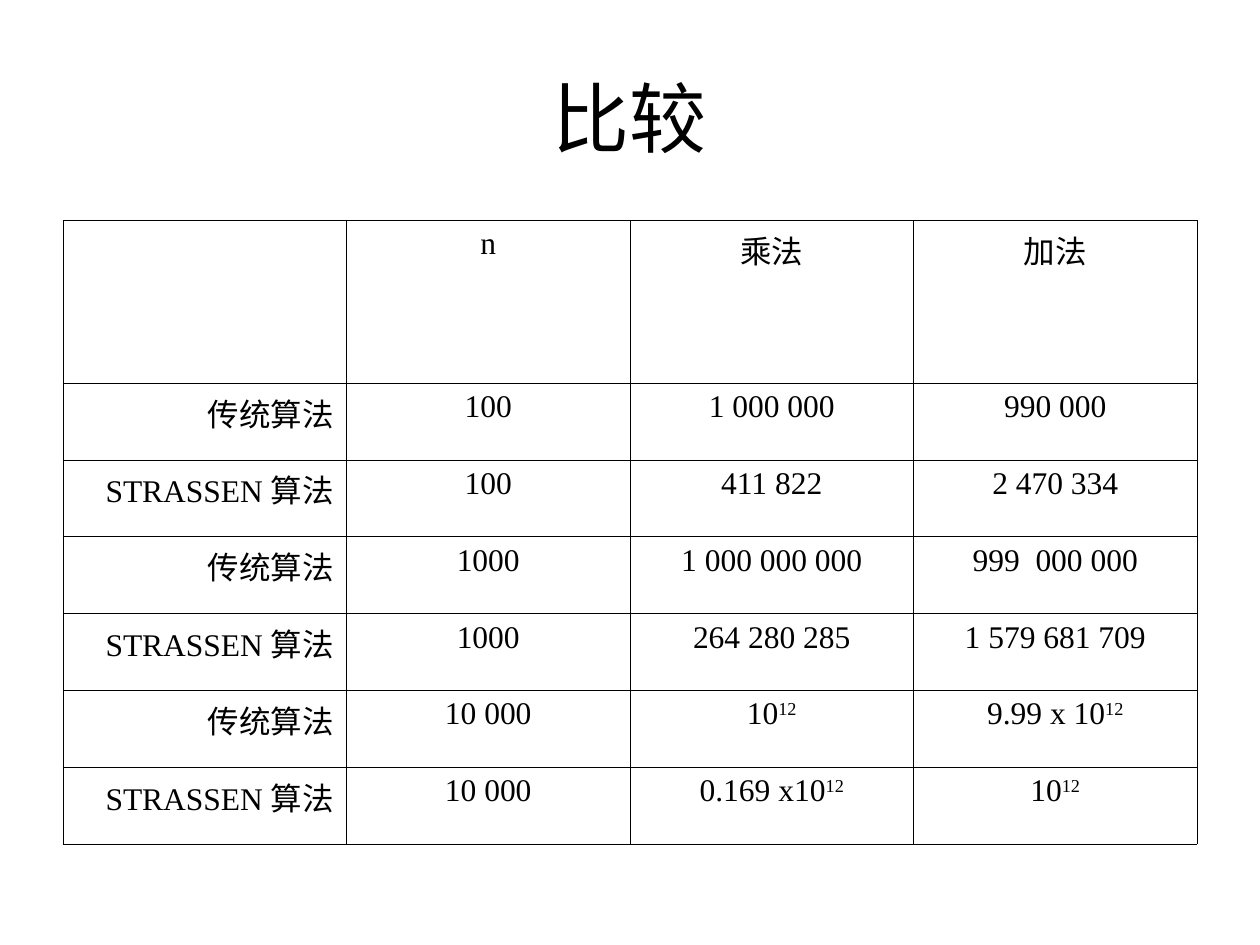
from lxml.etree import SubElement
from pptx import Presentation
from pptx.dml.color import RGBColor
from pptx.enum.text import MSO_ANCHOR as Anchor, PP_ALIGN as Align
from pptx.oxml.ns import qn
from pptx.util import Pt

BLACK = RGBColor(0x00, 0x00, 0x00)
TITLE_FONT = "Arial"
TABLE_FONT = "Times New Roman"

CLASSIC = "传统算法"
STRASSEN = "STRASSEN 算法"

# A caret marks the start of a superscript
COMPARISON = [
    ["", "n", "乘法", "加法"],
    [CLASSIC, "100", "1 000 000", "990 000"],
    [STRASSEN, "100", "411 822", "2 470 334"],
    [CLASSIC, "1000", "1 000 000 000", "999  000 000"],
    [STRASSEN, "1000", "264 280 285", "1 579 681 709"],
    [CLASSIC, "10 000", "10^12", "9.99 x 10^12"],
    [STRASSEN, "10 000", "0.169 x10^12", "10^12"],
]


class SlideBuilder:
    """Holds the style and the current slide."""

    title_size = Pt(44)
    cell_size = Pt(18)
    hanging = Pt(27)
    border_width = Pt(0.45)

    def __init__(self, slide):
        self.slide = slide

    def style(self, paragraph, font_name, size, align):
        paragraph.alignment = align
        for run in paragraph.runs:
            run.font.name = font_name
            run.font.size = size
            run.font.color.rgb = BLACK

    def title(self, text, left, top, width, height):
        box = self.slide.shapes.add_textbox(left, top, width, height)
        frame = box.text_frame
        frame.word_wrap = True
        frame.vertical_anchor = Anchor.MIDDLE
        frame.text = text
        self.style(frame.paragraphs[0], TITLE_FONT, self.title_size, Align.CENTER)

    def borders(self, cell):
        properties = cell._tc.get_or_add_tcPr()
        for position, side in enumerate(("lnL", "lnR", "lnT", "lnB")):
            line = SubElement(properties, qn(f"a:{side}"), w=str(self.border_width))
            fill = SubElement(line, qn("a:solidFill"))
            SubElement(fill, qn("a:srgbClr"), val=str(BLACK))
            properties.insert(position, line)  # lines come before the fill

    def cell(self, cell, text, align):
        cell.fill.background()
        self.borders(cell)
        base, _, exponent = text.partition("^")
        paragraph = cell.text_frame.paragraphs[0]
        paragraph.text = base
        if exponent:
            run = paragraph.add_run()
            run.text = exponent
            run._r.get_or_add_rPr().set("baseline", "30000")
        properties = paragraph._p.get_or_add_pPr()
        properties.set("marL", str(self.hanging))
        properties.set("indent", str(-self.hanging))
        paragraph.font.size = self.cell_size
        self.style(paragraph, TABLE_FONT, self.cell_size, align)

    def table(self, rows, left, top, width, header_height, row_height):
        height = header_height + row_height * (len(rows) - 1)
        frame = self.slide.shapes.add_table(
            len(rows), len(rows[0]), left, top, width, height)
        table = frame.table
        table.first_row = False
        table.horz_banding = False
        for i, values in enumerate(rows):
            table.rows[i].height = row_height if i else header_height
            for j, value in enumerate(values):
                align = Align.CENTER if j else Align.RIGHT
                self.cell(table.cell(i, j), value, align)


def main():
    presentation = Presentation()
    presentation.slide_width = Pt(720)
    presentation.slide_height = Pt(540)
    slide = presentation.slides.add_slide(presentation.slide_layouts[6])
    builder = SlideBuilder(slide)

    # Title
    builder.title("比较", Pt(36), Pt(21.6), Pt(648), Pt(90))

    # Operation counts of both algorithms
    builder.table(COMPARISON, Pt(36), Pt(126), Pt(648), Pt(93), Pt(43.9))

    presentation.save("out.pptx")


if __name__ == "__main__":
    main()
